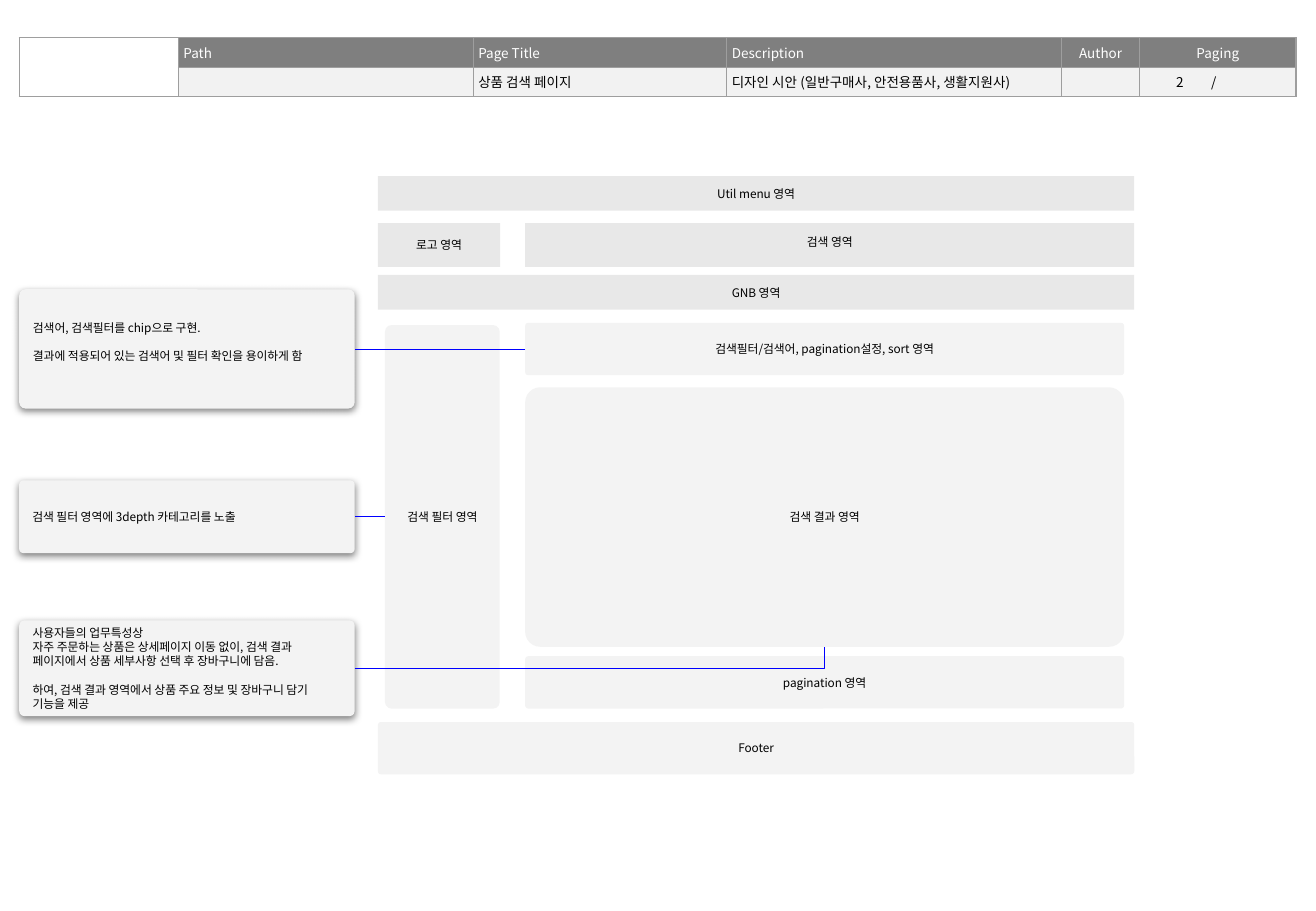
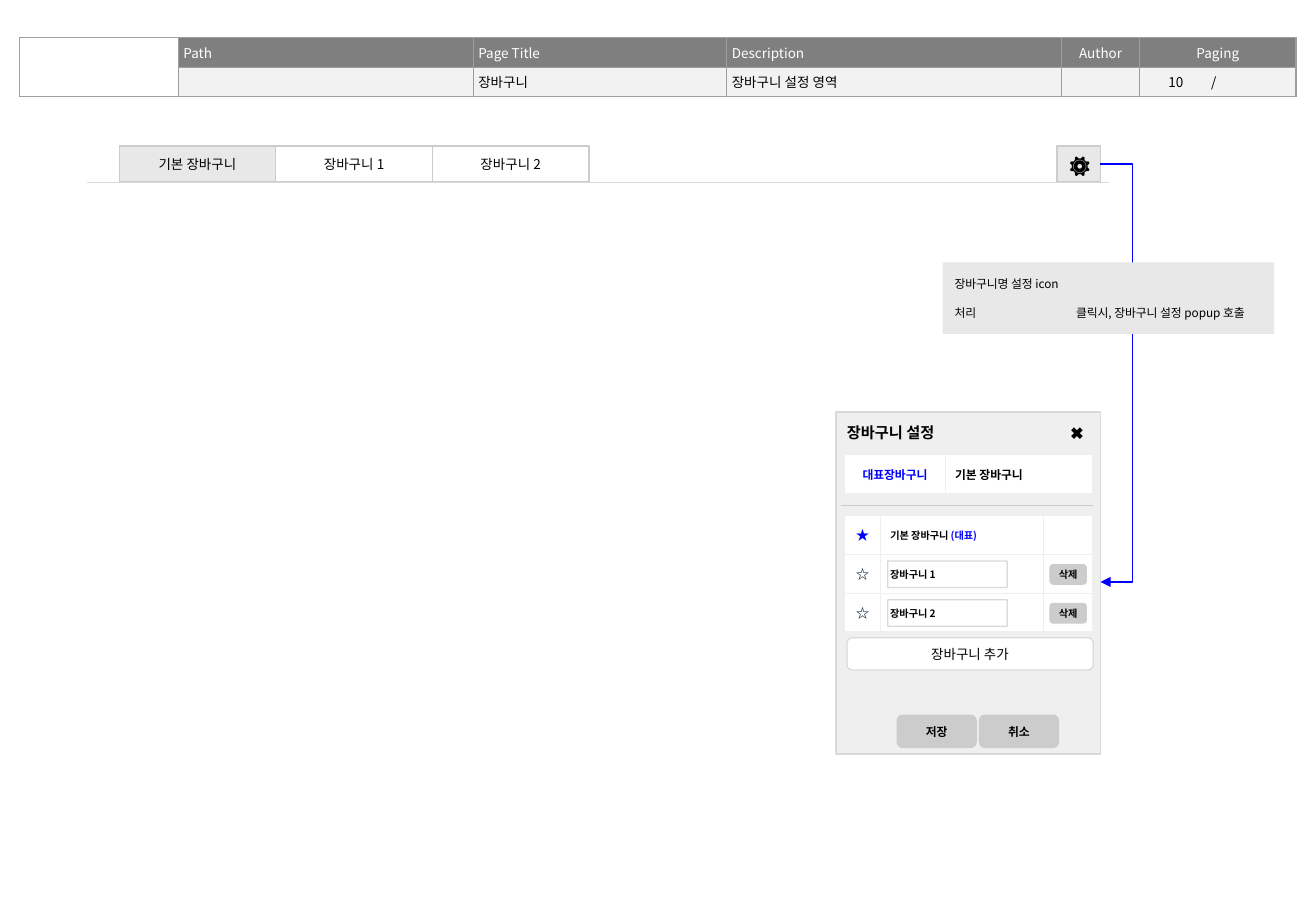
from collections import namedtuple

from lxml import etree
from pptx import Presentation
from pptx.dml.color import RGBColor
from pptx.enum.shapes import MSO_CONNECTOR, MSO_SHAPE
from pptx.enum.text import MSO_ANCHOR, PP_ALIGN
from pptx.oxml.ns import qn
from pptx.util import Pt

LEFT, CENTER, RIGHT = PP_ALIGN.LEFT, PP_ALIGN.CENTER, PP_ALIGN.RIGHT
TOP, MIDDLE = MSO_ANCHOR.TOP, MSO_ANCHOR.MIDDLE
RECT, ROUND = MSO_SHAPE.RECTANGLE, MSO_SHAPE.ROUNDED_RECTANGLE
STRAIGHT, ELBOW = MSO_CONNECTOR.STRAIGHT, MSO_CONNECTOR.ELBOW

FONT = "Noto Sans CJK KR"
BLACK = RGBColor(0x00, 0x00, 0x00)
WHITE = RGBColor(0xFF, 0xFF, 0xFF)
BLUE = RGBColor(0x00, 0x00, 0xFF)
NAVY = RGBColor(0x0E, 0x28, 0x41)
HEADER_FILL = RGBColor(0x7F, 0x7F, 0x7F)
HEADER_BORDER = RGBColor(0x9E, 0x9E, 0x9E)
VALUE_FILL = RGBColor(0xF2, 0xF2, 0xF2)
AREA_FILL = RGBColor(0xE8, 0xE8, 0xE8)
CARD_FILL = RGBColor(0xF3, 0xF3, 0xF3)
POPUP_FILL = RGBColor(0xEF, 0xEF, 0xEF)
BUTTON_FILL = RGBColor(0xCC, 0xCC, 0xCC)
OUTLINE = RGBColor(0xD9, 0xD9, 0xD9)

LINE_WIDTH = 0.75
LINE_PITCH = 8.5
INSETS = (7.2, 7.2, 7.2, 7.2)
NO_SIDE_INSETS = (0, 7.2, 0, 7.2)

Cell = namedtuple(
    "Cell", "text size color bold align fill inset sides",
    defaults=("", 8, BLACK, False, LEFT, WHITE, 2.9, "LRTB"))


def write(frame, text, size, color, bold, align):
    """Fill a text frame; the last of several paragraphs stands apart."""
    frame.text = text
    frame.word_wrap = True
    paragraphs = frame.paragraphs
    for paragraph in paragraphs:
        paragraph.alignment = align
        if len(paragraphs) > 1:
            paragraph.line_spacing = Pt(LINE_PITCH)
        for run in paragraph.runs:
            run.font.name = FONT
            run.font.size = Pt(size)
            run.font.bold = bold
            run.font.color.rgb = color
            etree.SubElement(run._r.get_or_add_rPr(), qn("a:ea")).set("typeface", FONT)
        if not paragraph.runs:
            paragraph._p.get_or_add_endParaRPr().set("sz", str(size * 100))
    if len(paragraphs) > 1:
        paragraphs[-1].space_before = Pt(LINE_PITCH)


def add_box(slide, at, text="", fill=None, line=None, corner=None, size=7, bold=False,
            align=CENTER, anchor=MIDDLE, insets=INSETS):
    kind = RECT if corner is None else ROUND
    box = slide.shapes.add_shape(kind, *(Pt(length) for length in at))
    box.shadow.inherit = False
    if corner is not None:
        box.adjustments[0] = corner
    if fill is None:
        box.fill.background()
    else:
        box.fill.solid()
        box.fill.fore_color.rgb = fill
    if line is None:
        box.line.fill.background()
    else:
        box.line.color.rgb = line
        box.line.width = Pt(LINE_WIDTH)
    frame = box.text_frame
    frame.vertical_anchor = anchor
    frame.margin_left, frame.margin_top, frame.margin_right, frame.margin_bottom = (
        Pt(inset) for inset in insets)
    write(frame, text, size, BLACK, bold, align)
    return box


prs = Presentation()
prs.slide_width, prs.slide_height = Pt(780), Pt(540)
search, cart = (prs.slides.add_slide(prs.slide_layouts[6]) for _ in range(2))

# Search page: areas of the layout
PAGE_X, MAIN_X, PAGE_W, MAIN_W = 224, 311.3, 448.3, 355
for at, text, anchor in [
    ((PAGE_X, 104.4, PAGE_W, 20.5), "Util menu 영역", MIDDLE),
    ((PAGE_X, 132.2, 72.5, 26), "로고 영역", MIDDLE),
    ((MAIN_X, 132.2, 361, 26), "검색 영역", TOP),
    ((PAGE_X, 163, PAGE_W, 20.5), "GNB 영역", MIDDLE),
]:
    add_box(search, at, text, AREA_FILL, anchor=anchor)

for at, text in [
    ((MAIN_X, 191.4, MAIN_W, 31), "검색필터/검색어, pagination설정, sort 영역"),
    ((MAIN_X, 229.6, MAIN_W, 153.8), "검색 결과 영역"),
    ((MAIN_X, 389, MAIN_W, 31), "pagination 영역"),
    ((PAGE_X, 428, PAGE_W, 31), "Footer"),
    ((228.2, 192.7, 68, 227.4), "검색 필터 영역"),
]:
    add_box(search, at, text, CARD_FILL, corner=0.058)

# Search page: notes on the left, with a soft shadow
for top, height, bottom_inset, text in [
    (171.5, 70.7, 7.2 + LINE_PITCH,
     "검색어, 검색필터를 chip으로 구현.\n결과에 적용되어 있는 검색어 및 필터 확인을 용이하게 함"),
    (284.8, 43, 7.2, "검색 필터 영역에 3depth 카테고리를 노출"),
    (367.8, 56.7, 7.2,
     "사용자들의 업무특성상\n"
     "자주 주문하는 상품은 상세페이지 이동 없이, 검색 결과 페이지에서 상품 세부사항 선택 후 장바구니에 담음.\n"
     "하여, 검색 결과 영역에서 상품 주요 정보 및 장바구니 담기 기능을 제공"),
]:
    note = add_box(search, (11.4, top, 198.8, height), text, CARD_FILL, corner=0.052,
                   align=LEFT, insets=(7.2, 7.2, 7.2, bottom_inset))
    effects = note._element.spPr.find(qn("a:effectLst"))
    shadow = etree.SubElement(effects, qn("a:outerShdw"), blurRad=str(Pt(4.5)),
                              dist=str(Pt(1.5)), dir="5400000", algn="t", rotWithShape="0")
    shade = etree.SubElement(shadow, qn("a:srgbClr"), val=str(BLACK))
    etree.SubElement(shade, qn("a:alpha"), val="49000")

# Cart page: popup panel, under its tables
add_box(cart, (495.5, 244.2, 156.8, 202.8), fill=POPUP_FILL, line=OUTLINE)

# Tables: the page header on both slides, then the two of the popup
HEADER_WIDTHS = (94.4, 174.8, 150.3, 198.4, 46.3, 28.8, 30.2, 33.6)
header_titles = [Cell(title, color=WHITE, fill=HEADER_FILL, align=align) for title, align in [
    ("Path", LEFT), ("Page Title", LEFT), ("Description", LEFT),
    ("Author", CENTER), ("Paging", CENTER), ("", LEFT), ("", LEFT)]]
tables = []
for slide, title, description, number in [
    (search, "상품 검색 페이지", "디자인 시안 (일반구매사, 안전용품사, 생활지원사)", "2"),
    (cart, "장바구니", "장바구니 설정 영역", "10"),
]:
    values = [Cell(text, fill=VALUE_FILL) for text in ("", title, description, "")]
    values += [Cell(number, align=RIGHT, fill=VALUE_FILL, sides="LTB"),
               Cell("/", align=CENTER, fill=VALUE_FILL, sides="TB"),
               Cell(fill=VALUE_FILL, sides="RTB")]
    rows = [[Cell(fill=None)] + header_titles, [Cell(fill=None)] + values]
    tables.append((slide, 11.4, 22.3, HEADER_WIDTHS, 17.05, HEADER_BORDER, rows,
                   [((0, 0), (1, 0)), ((0, 5), (0, 7))]))

LIST_TOP, LIST_ROW = 305.6, 23
tables.append((cart, 500.6, 269.5, (59.8, 57.6, 29.5), LIST_ROW, POPUP_FILL, [[
    Cell("대표장바구니", 7, BLUE, True, CENTER),
    Cell("기본 장바구니", 7, bold=True, inset=5.8), Cell()]], [((0, 1), (0, 2))]))
tables.append((cart, 500.6, LIST_TOP, (21.3, 96.5, 29.2), LIST_ROW, POPUP_FILL, [
    [Cell("★", 8, BLUE, True, CENTER), Cell("기본 장바구니 ", 6, bold=True, inset=5.8), Cell()],
    [Cell("☆", 8, NAVY, True, CENTER), Cell(), Cell()],
    [Cell("☆", 8, NAVY, True, CENTER), Cell(), Cell()]], []))

for slide, left, top, widths, row_height, border, rows, spans in tables:
    table = slide.shapes.add_table(len(rows), len(widths), Pt(left), Pt(top), Pt(sum(widths)),
                                   Pt(row_height * len(rows))).table
    table.first_row = table.horz_banding = False
    for column, width in zip(table.columns, widths):
        column.width = Pt(width)
    for r, row in enumerate(rows):
        table.rows[r].height = Pt(row_height)
        for c, content in enumerate(row):
            cell = table.cell(r, c)
            cell.vertical_anchor = MIDDLE
            cell.margin_left = cell.margin_right = Pt(content.inset)
            cell.margin_top = cell.margin_bottom = Pt(2.9)
            properties = cell._tc.get_or_add_tcPr()
            for side in "LRTB":
                edge = etree.SubElement(properties, qn("a:ln" + side), w=str(Pt(LINE_WIDTH)))
                if side in content.sides:
                    paint = etree.SubElement(edge, qn("a:solidFill"))
                    etree.SubElement(paint, qn("a:srgbClr"), val=str(border))
                else:
                    etree.SubElement(edge, qn("a:noFill"))
            if content.fill is None:
                cell.fill.background()
            else:
                cell.fill.solid()
                cell.fill.fore_color.rgb = content.fill
            write(cell.text_frame, content.text, content.size, content.color, content.bold,
                  content.align)
    for first, last in spans:
        table.cell(*first).merge(table.cell(*last))

default_mark = table.cell(0, 1).text_frame.paragraphs[0].add_run()
default_mark.text = "(대표)"
default_mark.font.name = FONT
default_mark.font.size = Pt(6)
default_mark.font.bold = True
default_mark.font.color.rgb = BLUE
etree.SubElement(default_mark._r.get_or_add_rPr(), qn("a:ea")).set("typeface", FONT)

# Cart page: popup contents
add_box(cart, (502, 245.5, 70.6, 21.6), "장바구니 설정", size=9, bold=True, align=LEFT,
        insets=(0, 0, 0, 0))
add_box(cart, (625.5, 245.5, 25.9, 21.6), "✖", size=10, insets=(0, 0, 0, 0))
for index in (1, 2):
    row_top = LIST_TOP + index * LIST_ROW
    add_box(cart, (526.2, row_top + 3.9, 70.8, 15.8), f"장바구니 {index}", WHITE, OUTLINE,
            corner=0.018, size=6, bold=True, align=LEFT, insets=(1.4, 7.2, 7.2, 7.2))
    add_box(cart, (622.4, row_top + 6.1, 21.5, 11.6), "삭제", BUTTON_FILL, BUTTON_FILL,
            corner=0.167, size=6, bold=True, insets=NO_SIDE_INSETS)
add_box(cart, (502, 378, 146, 19.2), "장바구니 추가", WHITE, OUTLINE, corner=0.17, size=8)
for index, text in enumerate(["저장", "취소"]):
    add_box(cart, (531.8 + index * 48.8, 423.9, 46.8, 19.2), text, BUTTON_FILL, BUTTON_FILL,
            corner=0.167, bold=True, insets=NO_SIDE_INSETS)

# Cart page: tabs and settings button
TAB_TOP, TAB_W, TAB_H = 86.5, 92.8, 21.5
for index, text in enumerate(["기본 장바구니", "장바구니 1", "장바구니 2"]):
    add_box(cart, (70.7 + index * TAB_W, TAB_TOP, TAB_W, TAB_H), text,
            WHITE if index else AREA_FILL, BUTTON_FILL, size=8)
add_box(cart, (626.5, TAB_TOP, 25.8, TAB_H), "⚙", AREA_FILL, BUTTON_FILL, size=14)

# Lines of both pages
lines = []
for slide, kind, start, end, color in [
    (search, ELBOW, (MAIN_X, 207), (210.2, 207), BLUE),
    (search, ELBOW, (228.2, 306.3), (210.2, 306.3), BLUE),
    (search, ELBOW, (210.2, 396.2), (488.8, 383.4), BLUE),
    (cart, STRAIGHT, (498.2, 299.5), (648, 299.5), BUTTON_FILL),
    (cart, STRAIGHT, (51.8, 108), (657.4, 108), OUTLINE),
    (cart, ELBOW, (651.8, 97.2), (652.3, 345), BLUE),
]:
    line = slide.shapes.add_connector(kind, *(Pt(length) for length in start + end))
    line.line.color.rgb = color
    line.line.width = Pt(LINE_WIDTH)
    etree.SubElement(line._element.spPr, qn("a:effectLst"))
    lines.append(line)

result_geometry = lines[2]._element.spPr.find(qn("a:prstGeom"))
result_geometry.set("prst", "bentConnector2")

# The popup arrow swings out 19.2 pt, counted in its own width of 0.5 pt
popup_properties = lines[-1]._element.spPr
guides = popup_properties.find(qn("a:prstGeom")).find(qn("a:avLst"))
etree.SubElement(guides, qn("a:gd"), name="adj1", fmla=f"val {round(19.2 / 0.5 * 100000)}")
etree.SubElement(popup_properties.find(qn("a:ln")), qn("a:tailEnd"), type="triangle")

# Cart page: note over the arrow
icon_note = add_box(cart, (558.7, 155.5, 196.6, 42.5),
                    "장바구니명 설정 icon\n처리\t클릭시, 장바구니 설정 popup 호출",
                    AREA_FILL, align=LEFT)
tabs = etree.SubElement(icon_note.text_frame.paragraphs[1]._p.get_or_add_pPr(), qn("a:tabLst"))
etree.SubElement(tabs, qn("a:tab"), pos=str(Pt(72)), algn="l")

prs.save("out.pptx")
